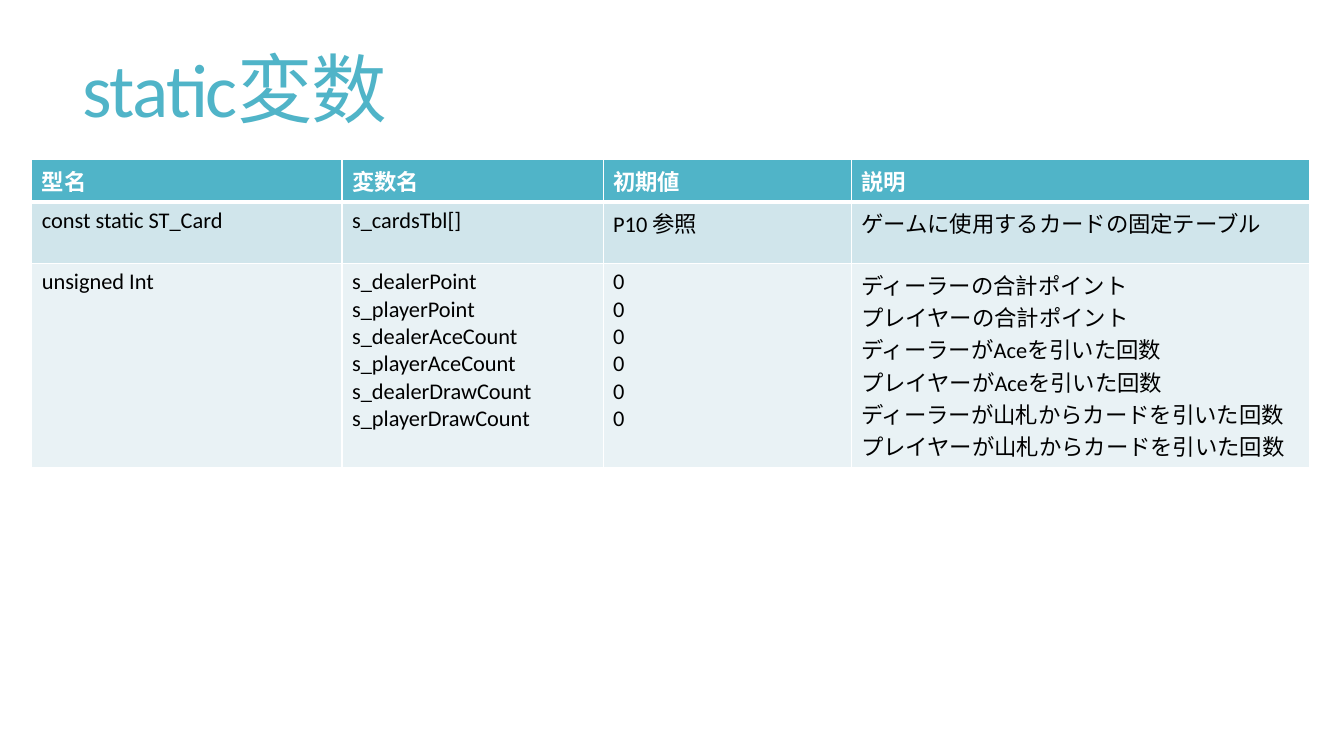
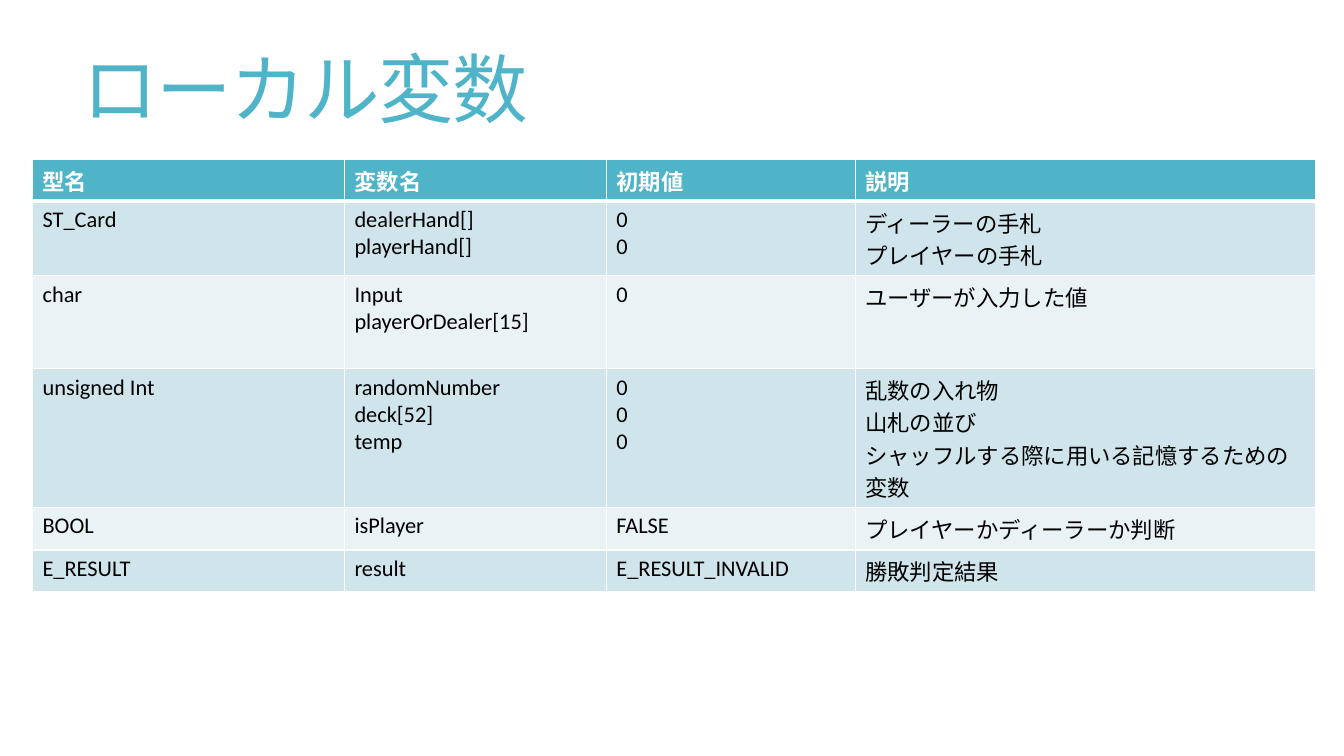
from lxml.etree import SubElement
from pptx import Presentation
from pptx.dml.color import RGBColor
from pptx.enum.text import MSO_ANCHOR
from pptx.oxml.ns import qn
from pptx.util import Cm, Pt

COLORS = {
    "accent": "50B4C8",
    "white": "FFFFFF",
    "text": "000000",
    "band_dark": "D0E5EB",
    "band_light": "E9F2F5",
}
FONT = "Calibri"
HEADERS = ["型名", "変数名", "初期値", "説明"]
TABLE_TOP = 4.02

# Each cell is a list of paragraphs; "\n" is a line break inside a paragraph.
SLIDES = [
    {
        "title": "static変数",
        "left": 0.8,
        "columns": [7.82, 6.58, 6.25, 11.56],
        "heights": [1.05, 1.55, 5.1],
        "rows": [
            [["const static ST_Card"], ["s_cardsTbl[]"], ["P10 参照"],
             ["ゲームに使用するカードの固定テーブル"]],
            [["unsigned Int"],
             ["s_dealerPoint", "s_playerPoint", "s_dealerAceCount",
              "s_playerAceCount", "s_dealerDrawCount", "s_playerDrawCount"],
             ["0"] * 6,
             ["ディーラーの合計ポイント\nプレイヤーの合計ポイント\n"
              "ディーラーがAceを引いた回数\nプレイヤーがAceを引いた回数\n"
              "ディーラーが山札からカードを引いた回数",
              "プレイヤーが山札からカードを引いた回数"]],
        ],
    },
    {
        "title": "ローカル変数",
        "left": 0.82,
        "columns": [7.86, 6.6, 6.27, 11.6],
        "heights": [1.05, 1.88, 2.34, 3.5, 1.07, 1.05],
        "rows": [
            [["ST_Card"], ["dealerHand[]", "playerHand[]"], ["0", "0"],
             ["ディーラーの手札", "プレイヤーの手札"]],
            [["char"], ["Input", "playerOrDealer[15]"], ["0"],
             ["ユーザーが入力した値"]],
            [["unsigned Int"], ["randomNumber", "deck[52]", "temp"], ["0"] * 3,
             ["乱数の入れ物", "山札の並び",
              "シャッフルする際に用いる記憶するための変数"]],
            [["BOOL"], ["isPlayer"], ["FALSE"],
             ["プレイヤーかディーラーか判断"]],
            [["E_RESULT"], ["result"], ["E_RESULT_INVALID"],
             ["勝敗判定結果"]],
        ],
    },
]


def add_run(paragraph, text, size, color, bold=False):
    """Add one styled run to a paragraph and return it."""
    run = paragraph.add_run()
    run.text = text
    run.font.name = FONT
    run.font.size = Pt(size)
    run.font.bold = bold
    run.font.color.rgb = RGBColor.from_string(COLORS[color])
    return run


def style_cell(cell, fill, top, bottom):
    """Draw white borders (widths in points) and fill the cell."""
    properties = cell._tc.get_or_add_tcPr()
    for tag, width in (("lnL", 1), ("lnR", 1), ("lnT", top), ("lnB", bottom)):
        line = SubElement(properties, qn(f"a:{tag}"), w=str(Pt(width)))
        solid = SubElement(line, qn("a:solidFill"))
        SubElement(solid, qn("a:srgbClr"), val=COLORS["white"])
    cell.fill.solid()
    cell.fill.fore_color.rgb = RGBColor.from_string(COLORS[fill])


presentation = Presentation()
presentation.slide_width = Cm(33.87)
presentation.slide_height = Cm(19.05)
blank_layout = presentation.slide_layouts[6]

for content in SLIDES:
    slide = presentation.slides.add_slide(blank_layout)
    rows = [[[header] for header in HEADERS]] + content["rows"]

    table = slide.shapes.add_table(
        len(rows), len(HEADERS), Cm(content["left"]), Cm(TABLE_TOP),
        Cm(sum(content["columns"])), Cm(sum(content["heights"]))).table
    for column, width in zip(table.columns, content["columns"]):
        column.width = Cm(width)
    for row, height in zip(table.rows, content["heights"]):
        row.height = Cm(height)

    for row_index, row in enumerate(rows):
        is_header = row_index == 0
        band = "band_dark" if row_index % 2 else "band_light"
        for column_index, paragraphs in enumerate(row):
            cell = table.cell(row_index, column_index)
            style_cell(cell, "accent" if is_header else band,
                       top=3 if row_index == 1 else 1,
                       bottom=3 if is_header else 1)
            frame = cell.text_frame
            for index, text in enumerate(paragraphs):
                paragraph = frame.add_paragraph() if index else frame.paragraphs[0]
                for line_index, line in enumerate(text.split("\n")):
                    if line_index:
                        paragraph.add_line_break()
                    add_run(paragraph, line, 16,
                            "white" if is_header else "text", is_header)

    title_box = slide.shapes.add_textbox(Cm(1.83), Cm(1.4), Cm(29.92), Cm(1.75))
    title_frame = title_box.text_frame
    title_frame.word_wrap = True
    title_frame.vertical_anchor = MSO_ANCHOR.TOP
    title_frame.margin_top = title_frame.margin_bottom = 0
    title_paragraph = title_frame.paragraphs[0]
    title_paragraph.line_spacing = 0.85
    title_run = add_run(title_paragraph, content["title"], 54, "accent")
    title_run.font._element.set("spc", "-120")

presentation.save("out.pptx")
